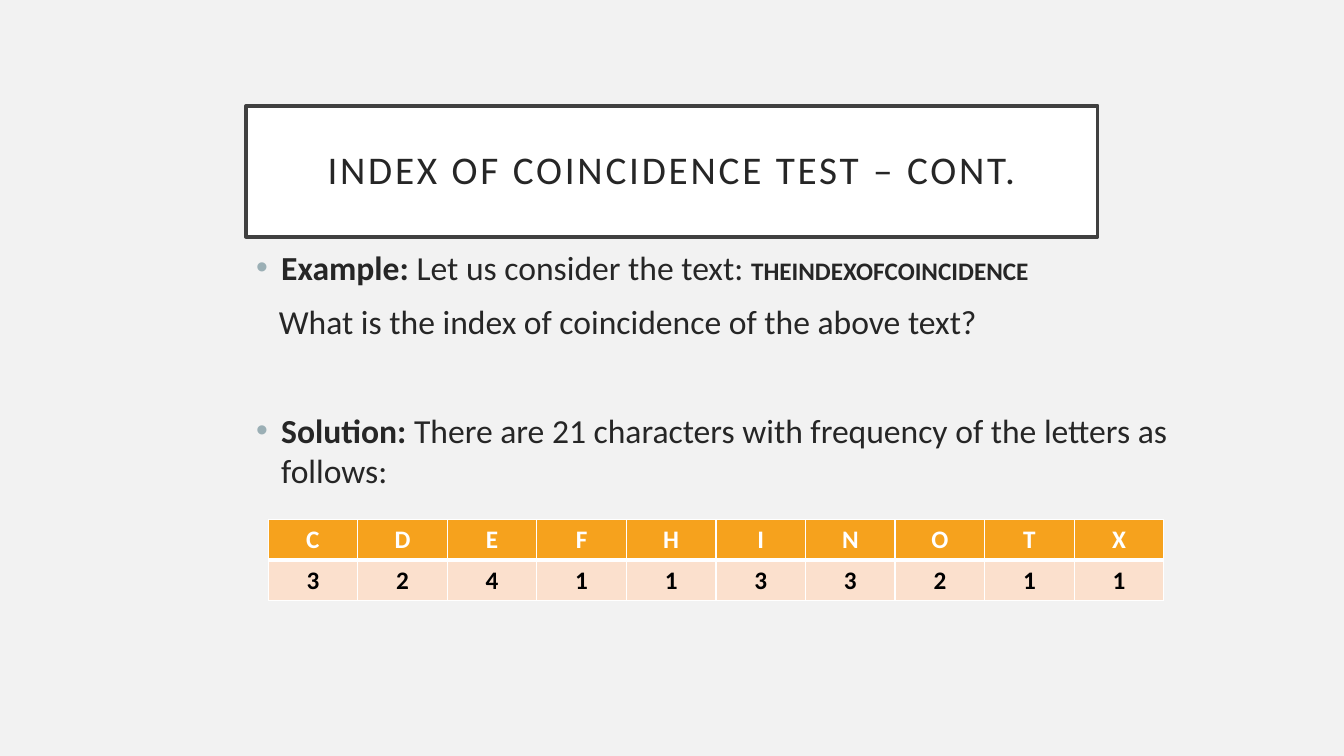
from lxml.etree import SubElement
from pptx import Presentation
from pptx.dml.color import RGBColor
from pptx.enum.text import MSO_ANCHOR, MSO_AUTO_SIZE, PP_ALIGN
from pptx.oxml import parse_xml
from pptx.oxml.ns import nsdecls, qn
from pptx.util import Pt

COLORS = {
    "background": "F2F2F2",
    "white": "FFFFFF",
    "frame": "404040",
    "text": "262626",
    "bullet": "9BAFB5",
    "header": "F6A21D",
    "count": "FBE0CD",
    "black": "000000",
}
FREQUENCIES = {"C": 3, "D": 2, "E": 4, "F": 1, "H": 1, "I": 3, "N": 3, "O": 2, "T": 1, "X": 1}


def rgb(name):
    return RGBColor.from_string(COLORS[name])


def add_run(p, text, size=24, color="text", bold=False, spacing=0, font="Calibri"):
    r = p.add_run()
    r.text = text
    r.font.name = font
    r.font.size = Pt(size)
    r.font.bold = bold
    r.font.color.rgb = rgb(color)
    if spacing:
        r.font._element.set("spc", str(spacing * 100))
    return r


class SlideBuilder:
    def __init__(self, prs):
        self.s = prs.slides.add_slide(prs.slide_layouts[1])
        self.s.background.fill.solid()
        self.s.background.fill.fore_color.rgb = rgb("background")

    def place(self, sp, left, top, width, height):
        sp.left, sp.top, sp.width, sp.height = Pt(left), Pt(top), Pt(width), Pt(height)
        tf = sp.text_frame
        tf.word_wrap = True
        tf.auto_size = MSO_AUTO_SIZE.NONE
        return tf

    def title(self, text, box):
        sp = self.s.shapes.title
        tf = self.place(sp, *box)
        sp.fill.solid()
        sp.fill.fore_color.rgb = rgb("white")
        sp.line.color.rgb = rgb("frame")
        sp.line.width = Pt(2.5)
        tf.vertical_anchor = MSO_ANCHOR.MIDDLE
        tf.margin_left = tf.margin_right = tf.margin_top = tf.margin_bottom = Pt(14.4)
        p = tf.paragraphs[0]
        p.alignment = PP_ALIGN.CENTER
        p.line_spacing = 0.9
        add_run(p, text, size=28, spacing=2)

    def body(self, items, box, margin_top):
        tf = self.place(self.s.placeholders[1], *box)
        tf.vertical_anchor = MSO_ANCHOR.TOP
        tf.margin_top = Pt(margin_top)
        for i, (bulleted, before, runs) in enumerate(items):
            p = tf.add_paragraph() if i else tf.paragraphs[0]
            p.space_before = Pt(before)
            self.indent(p, bulleted)
            for text, style in runs:
                add_run(p, text, **style)

    def indent(self, p, bulleted):
        pPr = p._p.get_or_add_pPr()
        pPr.set("marL", str(Pt(18 if bulleted else 16.3)))
        pPr.set("indent", str(Pt(-18 if bulleted else 0)))
        if bulleted:
            color = SubElement(pPr, qn("a:buClr"))
            SubElement(color, qn("a:srgbClr"), val=COLORS["bullet"])
            SubElement(pPr, qn("a:buFont"), typeface="Arial")
            SubElement(pPr, qn("a:buChar"), char="•")
        else:
            SubElement(pPr, qn("a:buNone"))

    def table(self, rows, box):
        left, top, width, height = box
        shape = self.s.shapes.add_table(
            len(rows), len(rows[0][0]), Pt(left), Pt(top), Pt(width), Pt(height))
        for i, (values, fill, color) in enumerate(rows):
            for j, value in enumerate(values):
                cell = shape.table.cell(i, j)
                cell.fill.solid()
                cell.fill.fore_color.rgb = rgb(fill)
                p = cell.text_frame.paragraphs[0]
                p.alignment = PP_ALIGN.CENTER
                add_run(p, str(value), size=18, color=color, bold=True)
                self.borders(cell, top=3 if i else 1, bottom=1 if i else 3)

    def borders(self, cell, top, bottom):
        tcPr = cell._tc.get_or_add_tcPr()
        sides = {"lnL": 1, "lnR": 1, "lnT": top, "lnB": bottom}
        for i, (side, width) in enumerate(sides.items()):
            tcPr.insert(i, parse_xml(
                f'<a:{side} {nsdecls("a")} w="{Pt(width)}"><a:solidFill>'
                f'<a:srgbClr val="{COLORS["white"]}"/></a:solidFill></a:{side}>'))


def main():
    prs = Presentation()
    prs.slide_width, prs.slide_height = Pt(960), Pt(540)
    slide = SlideBuilder(prs)
    slide.body([
        (True, 0, [
            ("Example: ", {"bold": True}),
            ("Let us consider the text: ", {}),
            ("THEINDEXOFCOINCIDENCE", {"size": 18, "bold": True}),
        ]),
        (False, 10, [("What is the index of coincidence of the above text?", {})]),
        (True, 49, [
            ("Solution: ", {"bold": True}),
            ("There are 21 characters with frequency of the letters as follows:", {}),
        ]),
    ], (175.7, 133.2, 672.5, 360.7), margin_top=42.9)
    slide.title("INDEX OF COINCIDENCE TEST – CONT.", (175.7, 75.6, 608.4, 93.6))
    slide.table([
        (list(FREQUENCIES), "header", "white"),
        (list(FREQUENCIES.values()), "count", "black"),
    ], (191.5, 370.8, 640, 58.4))
    prs.save("out.pptx")


if __name__ == "__main__":
    main()
